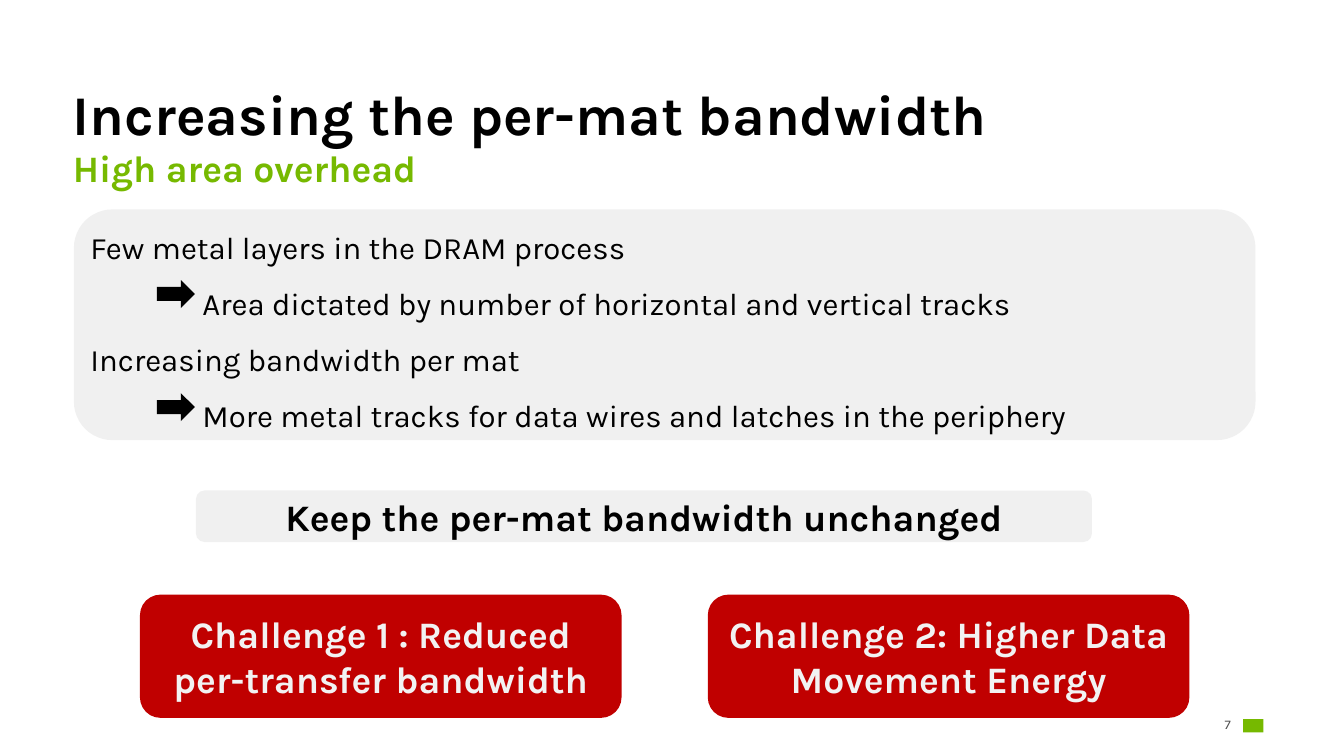
from pptx import Presentation
from pptx.dml.color import RGBColor
from pptx.enum import shapes as kinds, text as styles
from pptx.oxml.ns import qn
from pptx.util import Inches, Pt

BLACK = RGBColor(0x00, 0x00, 0x00)
GREEN = RGBColor(0x76, 0xB9, 0x00)
PANEL = RGBColor(0xF0, 0xF0, 0xF0)
RED = RGBColor(0xC0, 0x00, 0x00)
PALE = RGBColor(0xF2, 0xF2, 0xF2)
GREY = RGBColor(0x50, 0x50, 0x50)

TITLE = "Increasing the per-mat bandwidth"
SUBTITLE = "High area overhead"
POINTS = [
    ("Few metal layers in the DRAM process",
     "Area dictated by number of horizontal and vertical tracks"),
    ("Increasing bandwidth per mat",
     "More metal tracks for data wires and latches in the periphery"),
]
CHALLENGES = ["Challenge 1 : Reduced per-transfer bandwidth",
              "Challenge 2: Higher Data Movement Energy"]
DECISION = "Keep the per-mat bandwidth unchanged"
PAGE = "7"

ROUNDED = kinds.MSO_SHAPE.ROUNDED_RECTANGLE
ARROW = kinds.MSO_SHAPE.RIGHT_ARROW
LEFT, CENTER, RIGHT = (styles.PP_ALIGN.LEFT, styles.PP_ALIGN.CENTER,
                       styles.PP_ALIGN.RIGHT)
TOP, MIDDLE, BOTTOM = (styles.MSO_ANCHOR.TOP, styles.MSO_ANCHOR.MIDDLE,
                       styles.MSO_ANCHOR.BOTTOM)

HEADING = {"size": Pt(36), "bold": True}
STRONG = {"size": Pt(24), "bold": True}
PLAIN = {"size": Pt(20), "bold": False}
SMALL = {"size": Pt(8.5), "bold": False}

MARGIN, HEADER_WIDTH = 0.55, 10.91
ARROW_TOP, ARROW_STEP = 2.5, 1.01
CHALLENGE_LEFT, CHALLENGE_STEP = 1.25, 5.07


def write(shape, lines, font, color, align=LEFT, anchor=MIDDLE, **spacing):
    frame = shape.text_frame
    frame.word_wrap = True
    frame.auto_size = styles.MSO_AUTO_SIZE.NONE
    frame.vertical_anchor = anchor
    for number, line in enumerate(lines):
        paragraph = frame.add_paragraph() if number else frame.paragraphs[0]
        paragraph.alignment = align
        for name, value in spacing.items():
            setattr(paragraph, name, value)
        run = paragraph.add_run()
        run.text = line
        for name, value in {"name": "Karla", **font}.items():
            setattr(run.font, name, value)
        run.font.color.rgb = color
    return frame


def place(shape, *box):
    for name, value in zip(("left", "top", "width", "height"), box):
        setattr(shape, name, Inches(value))
    return shape


def add_block(slide, kind, color, *box):
    block = slide.shapes.add_shape(kind, *map(Inches, box))
    block.shadow.inherit = False
    block.fill.solid()
    block.fill.fore_color.rgb = color
    block.line.fill.background()
    return block


def indent(paragraph, inches):
    properties = paragraph._p.get_or_add_pPr()
    properties.set("marL", str(Inches(inches)))
    properties.set("indent", "0")
    return properties


def main():
    deck = Presentation()
    deck.slide_width, deck.slide_height = Inches(12), Inches(6.75)
    slide = deck.slides.add_slide(deck.slide_layouts[1])

    heading = place(slide.shapes.title, MARGIN, 0.72, HEADER_WIDTH, 0.65)
    write(heading, [TITLE], HEADING, BLACK, anchor=BOTTOM, line_spacing=0.9)
    subheading = place(slide.placeholders[1], MARGIN, 1.29, HEADER_WIDTH, 0.57)
    frame = write(subheading, [SUBTITLE], STRONG, GREEN, anchor=TOP,
                  line_spacing=0.9, space_before=Pt(9), space_after=Pt(9))
    properties = indent(frame.paragraphs[0], 0)
    properties.append(properties.makeelement(qn("a:buNone"), {}))

    add_block(slide, ROUNDED, PANEL, 0.66, 1.87, 10.55, 2.06)
    points = slide.shapes.add_textbox(*map(Inches, (0.71, 1.81, 10.53, 2.12)))
    lines = [line for point in POINTS for line in point]
    frame = write(points, lines, PLAIN, BLACK, line_spacing=1.5)
    for row, consequence in enumerate(frame.paragraphs[1::2]):
        indent(consequence, 1)
        add_block(slide, ARROW, BLACK,
                  1.4, ARROW_TOP + row * ARROW_STEP, 0.34, 0.25)

    for column, challenge in enumerate(CHALLENGES):
        card = add_block(slide, ROUNDED, RED,
                         CHALLENGE_LEFT + column * CHALLENGE_STEP, 5.31, 4.3, 1.1)
        write(card, [challenge], STRONG, PALE, CENTER)
    decision = add_block(slide, ROUNDED, PANEL, 1.75, 4.38, 8, 0.46)
    write(decision, [DECISION], STRONG, BLACK, CENTER)

    page = slide.shapes.add_textbox(*map(Inches, (10.64, 6.38, 0.35, 0.18)))
    frame = write(page, [PAGE], SMALL, GREY, RIGHT)
    for side in ("left", "top", "right", "bottom"):
        setattr(frame, f"margin_{side}", 0)
    add_block(slide, kinds.MSO_SHAPE.RECTANGLE, GREEN, 11.1, 6.42, 0.18, 0.12)

    deck.save("out.pptx")


if __name__ == "__main__":
    main()
